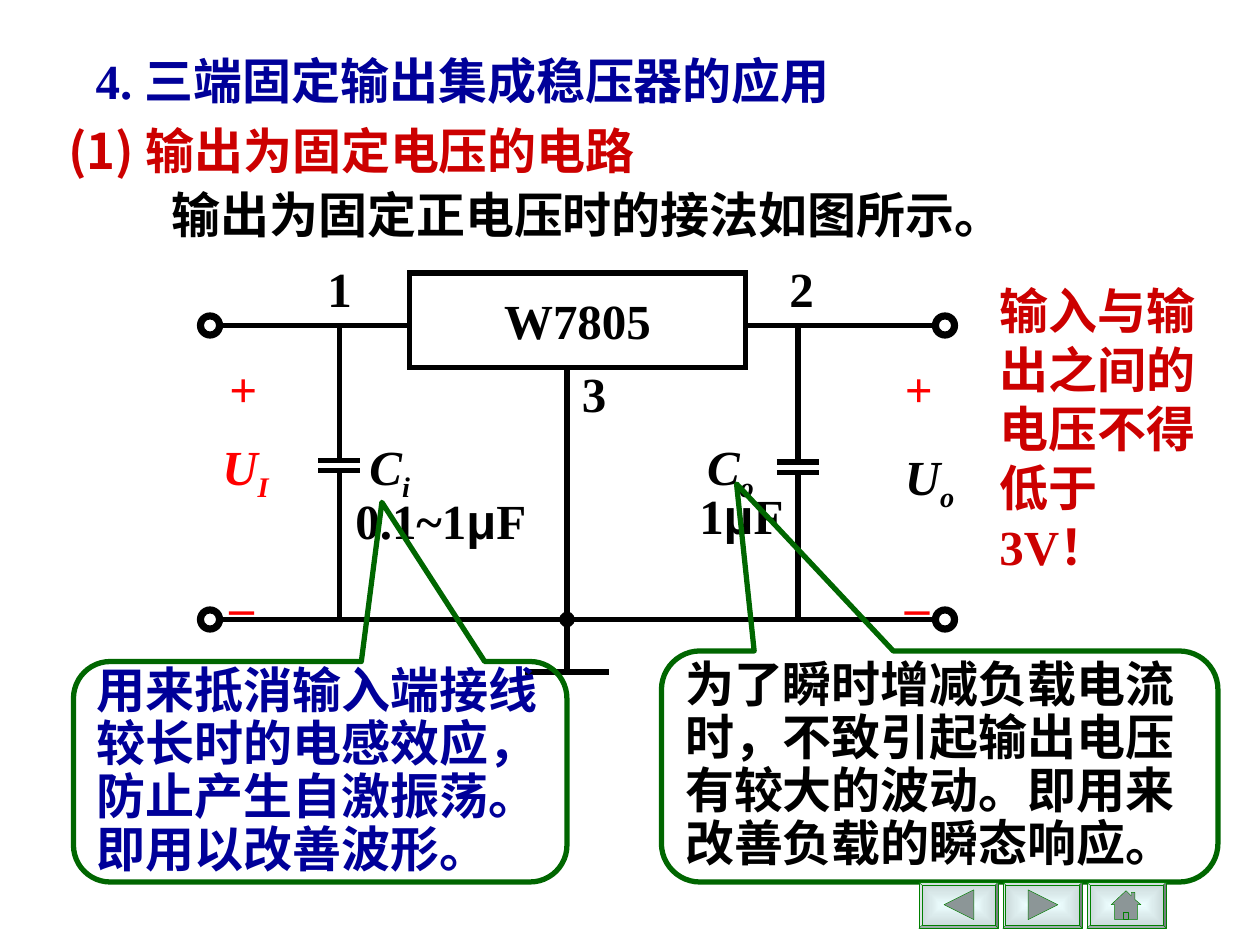
from pptx import Presentation
from pptx.dml.color import RGBColor
from pptx.enum.shapes import MSO_CONNECTOR as Link, MSO_SHAPE as Kind
from pptx.enum.text import MSO_ANCHOR as Anchor, PP_ALIGN as Align
from pptx.oxml.ns import qn
from pptx.util import Pt
from lxml.etree import SubElement as sub

ROMAN, SANS, ARIAL = "Times New Roman", "Noto Sans CJK SC", "Arial"
BLACK, RED, BRIGHT, NAVY, GREEN = "000000", "CC0000", "FF0000", "000099", "006600"
TOP, BASE, MID = 186, 354, 324

TITLE = [("4. ", ROMAN), ("三端固定输出集成稳压器的应用", SANS)]
HEADS = [
    (32, 65.5, 351, 41, [("(1) ", SANS), ("输出为固定电压的电路", ROMAN)], RED, False),
    (91, 102, 490, 41, [("输出为固定正电压时的接法如图所示。", ROMAN)], BLACK, False),
    (564, 157, 132, 175, [("输入与输出之间的电压不得低于", SANS), ("3V", ROMAN),
                          ("！", SANS)], RED, True),
]
MARKS = [
    (180, 144, "1", BLACK), (444, 144, "2", BLACK), (325.5, 204, "3", BLACK),
    (124, 201.5, "+", BRIGHT), (124, 316, "_", BRIGHT),
    (510, 201.5, "+", BRIGHT), (510, 316, "_", BRIGHT),
]
NAMES = [(204, 246, "C", "i", BLACK), (397, 246, "C", "o", BLACK),
         (120, 246, "U", "I", BRIGHT), (510, 251.5, "U", "o", BLACK)]
VALUES = [(196, 277, 120, "0.1~1"), (392.5, 274, 80, "1")]
CAPS = [(194, 263), (456, 264)]
WIRES = [(126, TOP, 234, TOP), (426, TOP, 534, TOP), (126, BASE, 534, BASE),
         (MID, BASE, MID, 384), (300, 384, 348, 384)]
NOTES = [
    (42, 378, 282, 126, (0.125, -1.222), NAVY,
     ["用来抵消输入端接线", "较长时的电感效应，", "防止产生自激振荡。", "即用以改善波形。"]),
    (378, 372, 318, 132, (-0.365, -1.223), BLACK,
     ["为了瞬时增减负载电流", "时，不致引起输出电压", "有较大的波动。即用来", "改善负载的瞬态响应。"]),
]
ICONS = [
    (525, [[(14.5, 13), (31.5, 4.5), (31.5, 21.5)]]),
    (573, [[(31.5, 13), (14.5, 4.5), (14.5, 21.5)]]),
    (621, [[(22.5, 5), (25.5, 8), (25.5, 6), (27.5, 6), (27.5, 10), (31, 13), (29, 13),
            (29, 21.5), (16, 21.5), (16, 13), (14, 13)],
           [(21, 17.5), (24, 17.5), (24, 21.5), (21, 21.5)]]),
]

deck = Presentation()
deck.slide_width, deck.slide_height = Pt(720), Pt(540)
slide = deck.slides.add_slide(deck.slide_layouts[5])
shapes = slide.shapes


def rgb(code):
    return RGBColor.from_string(code)


def frame(shape, wrap=False, anchor=Anchor.TOP):
    body = shape.text_frame
    body.word_wrap, body.vertical_anchor = wrap, anchor
    return body


def write(para, runs, color, align=Align.LEFT):
    """Fill a paragraph with (text, font) runs in bold 28 point."""
    para.alignment = align
    font = para.font
    font.size, font.bold, font.name = Pt(28), True, runs[0][1]
    font.color.rgb = rgb(color)
    for text, name in runs:
        run = para.add_run()
        run.text = text
        if name != font.name:
            run.font.name = name


def label(x, y, w, h, runs, color, wrap=False):
    box = shapes.add_textbox(Pt(x), Pt(y), Pt(w), Pt(h))
    para = frame(box, wrap).paragraphs[0]
    write(para, runs, color)
    return para


def draw(kind, x, y, w, h, color, adjs=(), width=3):
    shape = shapes.add_shape(kind, Pt(x), Pt(y), Pt(w), Pt(h))
    shape.shadow.inherit = False
    shape.fill.background()
    shape.line.color.rgb, shape.line.width = rgb(color), Pt(width)
    for i, adj in enumerate(adjs):
        shape.adjustments[i] = adj
    return shape


def wire(x1, y1, x2, y2):
    link = shapes.add_connector(Link.STRAIGHT, Pt(x1), Pt(y1), Pt(x2), Pt(y2))
    link.line.color.rgb, link.line.width = rgb(BLACK), Pt(3)
    sub(link._element.spPr, qn("a:effectLst"))
    return link


def button(x, icon):
    """Draw a bevelled button with its grey icon."""
    face = draw(Kind.BEVEL, x, 504, 45.5, 26.5, "008000", [0.065], 0.25)
    face.fill.gradient()
    for stop, color in zip(face.fill.gradient_stops, ("ECFDFE", "C7D5D6")):
        stop.color.rgb = rgb(color)
    grad = face._element.spPr.find(qn("a:gradFill"))
    grad.remove(grad.find(qn("a:lin")))
    way = sub(grad, qn("a:path"), path="rect")
    sub(way, qn("a:fillToRect"), l="50000", t="50000", r="50000", b="50000")
    for points in icon:
        spots = [(Pt(x + a), Pt(504 + b)) for a, b in points]
        pen = shapes.build_freeform(*spots[0])
        pen.add_line_segments(spots[1:])
        part = pen.convert_to_shape()
        part.shadow.inherit = False
        part.fill.solid()
        part.fill.fore_color.rgb = rgb("8C9697")
        part.line.color.rgb, part.line.width = rgb("008000"), Pt(0.25)


title = shapes.title
title.left, title.top, title.width, title.height = Pt(47.5), Pt(25), Pt(441), Pt(41)
write(frame(title).paragraphs[0], TITLE, NAVY)
for head in HEADS:
    label(*head)

for ends in WIRES:
    wire(*ends)
stem = wire(MID, 210, MID, BASE)
sub(stem.line._get_or_add_ln(), qn("a:tailEnd"), type="oval")
for x in (114, 534):
    for y in (TOP, BASE):
        draw(Kind.DONUT, x, y - 6, 12, 12, BLACK, [0.083])
for x, y in CAPS:
    wire(x, TOP, x, y)
    wire(x, y + 6, x, BASE)
    for plate in (y, y + 6):
        wire(x - 12, plate, x + 12, plate)

chip = draw(Kind.RECTANGLE, 234, 156, 192, 54, BLACK)
sub(chip.line._get_or_add_ln(), qn("a:miter"), lim="800000")
write(frame(chip, anchor=Anchor.MIDDLE).paragraphs[0], [("W7805", ROMAN)], BLACK, Align.CENTER)
for x, y, text, color in MARKS:
    label(x, y, 28, 41, [(text, ROMAN)], color)
for x, y, main, low, color in NAMES:
    para = label(x, y, 58, 45, [(main, ROMAN), (low, ROMAN)], color, True)
    para.font.italic = True
    para.runs[1].font._element.set("baseline", "-25000")
for x, y, w, text in VALUES:
    label(x, y, w, 41, [(text, ROMAN), ("μ", ARIAL), ("F", ROMAN)], BLACK, True)

for x, y, w, h, tip, color, lines in NOTES:
    note = draw(Kind.ROUNDED_RECTANGULAR_CALLOUT, x, y, w, h, GREEN, (*tip, 0.167))
    body = frame(note, anchor=Anchor.MIDDLE)
    for i, line in enumerate(lines):
        para = body.add_paragraph() if i else body.paragraphs[0]
        para.line_spacing = 0.9
        write(para, [(line, ROMAN)], color)

for x, icon in ICONS:
    button(x, icon)
deck.save("out.pptx")
